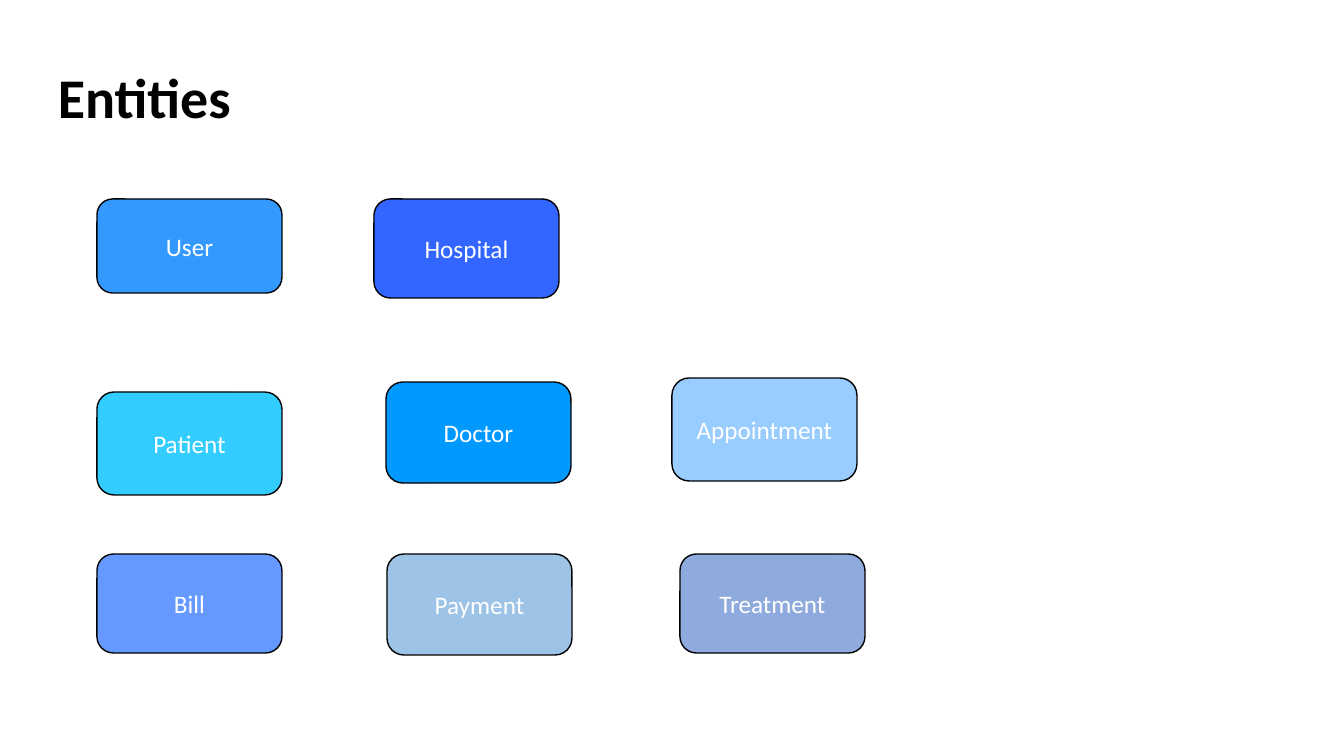
from dataclasses import dataclass

from pptx import Presentation
from pptx.dml.color import RGBColor
from pptx.enum.shapes import MSO_SHAPE
from pptx.enum.text import MSO_ANCHOR, PP_ALIGN
from pptx.util import Pt

ROUNDED = MSO_SHAPE.ROUNDED_RECTANGLE
MIDDLE = MSO_ANCHOR.MIDDLE
LEFT, CENTER = PP_ALIGN.LEFT, PP_ALIGN.CENTER

TITLE = "Entities"
TITLE_BOX = (48, 40, 1203, 120)
BOX_W = 185

# name, left, top, height, fill
ENTITIES = [
    ("User", 97, 199, 94, "3399FF"),
    ("Hospital", 374, 199, 99, "3366FF"),
    ("Patient", 97, 392, 103, "33CCFF"),
    ("Doctor", 386, 382, 101, "0099FF"),
    ("Appointment", 672, 378, 103, "99CCFF"),
    ("Bill", 97, 554, 99, "6699FF"),
    ("Payment", 387, 554, 101, "9DC3E6"),
    ("Treatment", 680, 554, 99, "8FAADC"),
]


@dataclass(frozen=True)
class Theme:
    font: str = "Calibri"
    title_size: int = 40
    label_size: int = 18
    line_width: int = 1
    ink: str = "000000"
    label: str = "FFFFFF"


THEME = Theme()
SLIDE_W, SLIDE_H = 1344, 756
EMU_PER_PX = 914400 / 100.8


def px(*lengths):
    return [round(n * EMU_PER_PX) for n in lengths]


def write(sp, text, size, color, align, bold=False):
    tf = sp.text_frame
    tf.word_wrap = True
    tf.vertical_anchor = MIDDLE
    p = tf.paragraphs[0]
    p.text = text
    p.alignment = align
    font = p.runs[0].font
    font.name, font.size, font.bold = THEME.font, Pt(size), bold
    font.color.rgb = RGBColor.from_string(color)
    return p


def add_title(s):
    sp = s.shapes.add_textbox(*px(*TITLE_BOX))
    p = write(sp, TITLE, THEME.title_size, THEME.ink, LEFT, bold=True)
    p.line_spacing = 0.9


def add_entity(s, name, left, top, height, fill):
    sp = s.shapes.add_shape(ROUNDED, *px(left, top, BOX_W, height))
    sp.shadow.inherit = False
    sp.fill.solid()
    sp.fill.fore_color.rgb = RGBColor.from_string(fill)
    sp.line.color.rgb = RGBColor.from_string(THEME.ink)
    sp.line.width = Pt(THEME.line_width)
    write(sp, name, THEME.label_size, THEME.label, CENTER)


def main():
    prs = Presentation()
    prs.slide_width, prs.slide_height = px(SLIDE_W, SLIDE_H)
    s = prs.slides.add_slide(prs.slide_layouts[6])
    add_title(s)
    for entity in ENTITIES:
        add_entity(s, *entity)
    prs.save("out.pptx")


if __name__ == "__main__":
    main()
